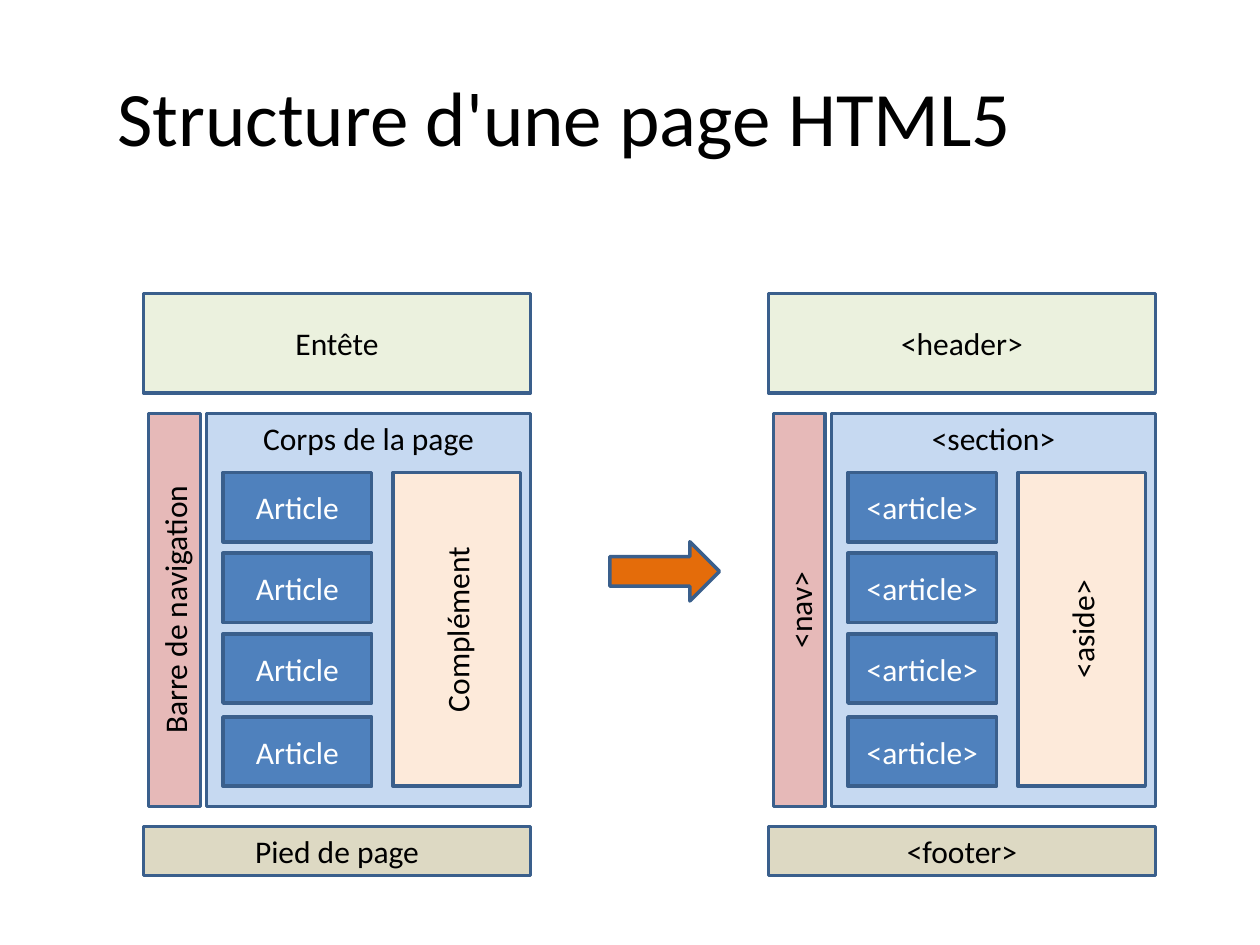
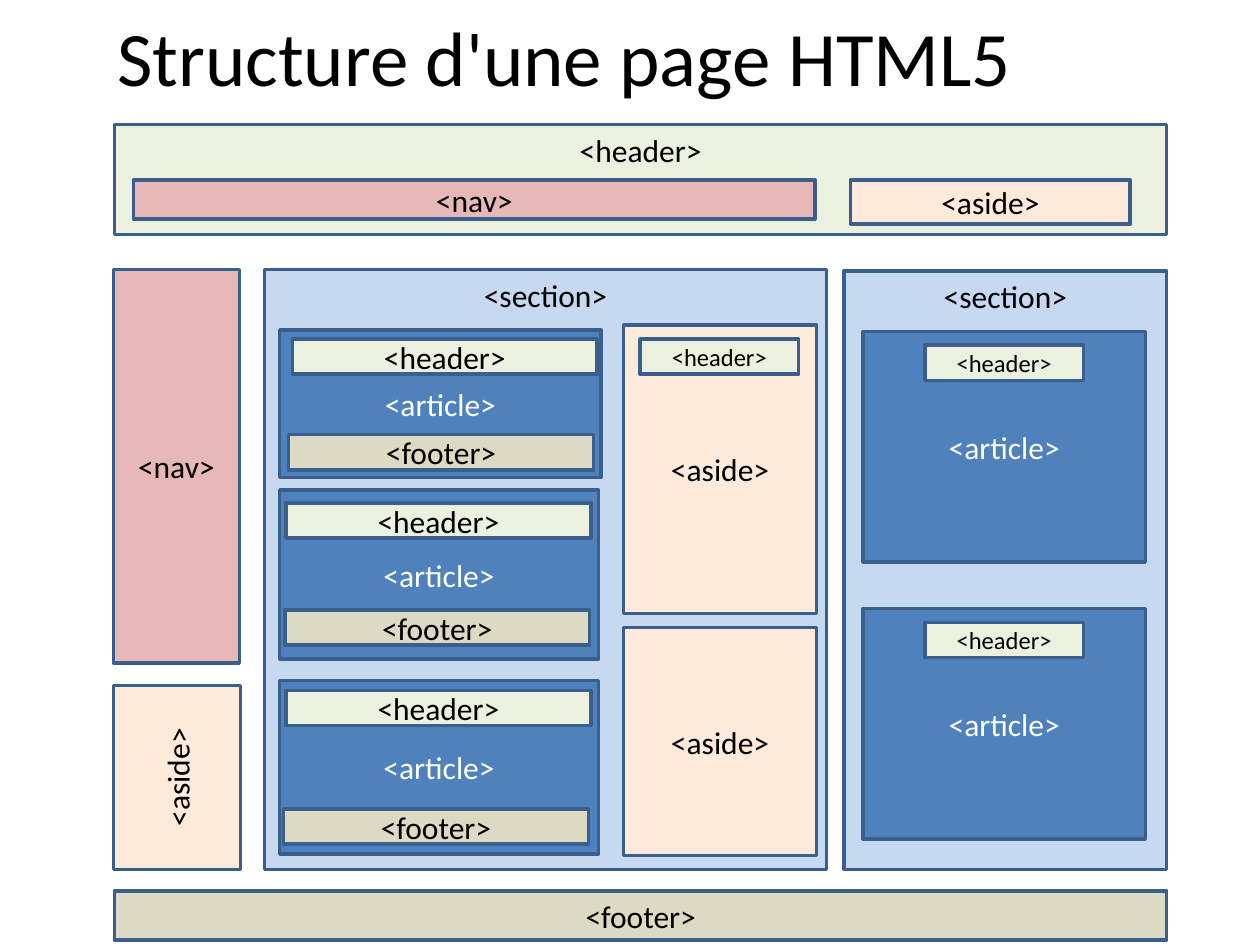
from dataclasses import dataclass, field
from pptx import Presentation
from pptx.dml.color import RGBColor
from pptx.enum.shapes import MSO_SHAPE
from pptx.enum.text import MSO_ANCHOR, PP_ALIGN
from pptx.util import Inches, Pt


@dataclass
class Theme:
    font: str = "Calibri"
    ink: str = "000000"
    white: str = "FFFFFF"
    edge: str = "3A5F8C"
    arrow: str = "E46C0A"
    title: int = 44
    body: int = 18
    small: int = 14
    line: int = 2
    fills: dict = field(default_factory=lambda: {
        "header": "EBF1DE", "nav": "E6B9B8", "section": "C6D9F1",
        "article": "4F81BD", "aside": "FDEADA", "footer": "DDD9C3"})


theme = Theme()

# Content: boxes are (left, top, width, height) in inches
TITLE = "Structure d'une page HTML5"
TITLES = [(0.83, 0.29, 8.83, 1.25), (0.83, 0.05, 8.83, 0.79)]
ROLES = list(theme.fills)
TAGS = {role: f"<{role}>" for role in ROLES}
WORDS = {"header": "Entête", "nav": "Barre de navigation",
         "section": "Corps de la page", "article": "Article",
         "aside": "Complément", "footer": "Pied de page"}

# Simple page: boxes measured from the left edge of the page sketch
PAGES = [(6.1, TAGS), (1.14, WORDS)]
PARTS = [("header", (0, 2.33, 3.07, 0.79), {}),
         ("nav", (0.04, 3.28, 0.41, 3.12), {"turn": True}),
         ("section", (0.5, 3.28, 2.57, 3.12), {"top": True}),
         ("footer", (0, 6.56, 3.07, 0.39), {}),
         ("aside", (1.98, 3.75, 1.01, 2.49), {"turn": True})]
STACK = [3.75, 4.39, 5.03, 5.69]
ARROW = (4.84, 4.3, 0.87, 0.47)

# Detailed page: outer frame, then what each section holds
FRAME = [("header", (0.91, 0.99, 8.35, 0.87), {"top": True}),
         ("nav", (1.06, 1.43, 5.41, 0.31), {}),
         ("aside", (6.75, 1.43, 2.22, 0.35), {}),
         ("nav", (0.9, 2.14, 1, 3.12), {}),
         ("aside", (0.9, 5.44, 1.01, 1.46), {"turn": True}),
         ("section", (2.1, 2.14, 4.46, 4.76), {"top": True}),
         ("section", (6.7, 2.15, 2.56, 4.75), {"top": True}),
         ("footer", (0.91, 7.07, 8.35, 0.39), {}),
         ("aside", (4.95, 2.58, 1.53, 2.29), {}),
         ("aside", (4.95, 4.98, 1.53, 1.81), {})]
# Article box, then left and top of its header and of its footer
POSTS = [((2.22, 2.62, 2.55, 1.17), (2.32, 2.69), (2.29, 3.45)),
         ((2.22, 3.89, 2.53, 1.34), (2.27, 3.99), (2.26, 4.84)),
         ((2.22, 5.4, 2.53, 1.38), (2.27, 5.48), (2.25, 6.42))]
BAND = (2.42, 0.28)
SIDE = [2.63, 4.83]
CHIP = (1.26, 0.28)


def rgb(code):
    return RGBColor.from_string(code)


def put(frame, text, size=theme.body, color=theme.ink,
        align=PP_ALIGN.CENTER, top=False, turn=False):
    """Write one formatted line into a text frame."""
    frame.text = text
    frame.word_wrap = True
    frame.vertical_anchor = MSO_ANCHOR.TOP if top else MSO_ANCHOR.MIDDLE
    if turn:
        frame._txBody.bodyPr.set("vert", "vert270")
    line = frame.paragraphs[0]
    line.alignment = align
    font = line.runs[0].font
    font.name, font.size = theme.font, Pt(size)
    font.color.rgb = rgb(color)


def draw(slide, box, fill, kind=MSO_SHAPE.RECTANGLE):
    shape = slide.shapes.add_shape(kind, *map(Inches, box))
    shape.shadow.inherit = False
    shape.fill.solid()
    shape.fill.fore_color.rgb = rgb(fill)
    shape.line.color.rgb = rgb(theme.edge)
    shape.line.width = Pt(theme.line)
    return shape


def block(slide, role, box, words=TAGS, **style):
    """Draw the box of one page element, in the colour of its role."""
    shape = draw(slide, box, theme.fills[role])
    color = theme.white if role == "article" else theme.ink
    put(shape.text_frame, words[role], color=color, **style)


def start(deck, box):
    slide = deck.slides.add_slide(deck.slide_layouts[5])
    title = slide.shapes.title
    title.left, title.top, title.width, title.height = map(Inches, box)
    put(title.text_frame, TITLE, size=theme.title, align=PP_ALIGN.LEFT)
    return slide


def simple(slide):
    for left, words in PAGES:
        for role, (x, y, w, h), style in PARTS:
            block(slide, role, (left + x, y, w, h), words, **style)
        for y in STACK:
            block(slide, "article", (left + 0.63, y, 1.18, 0.55), words)
    draw(slide, ARROW, theme.arrow, MSO_SHAPE.RIGHT_ARROW)


def detail(slide):
    for role, box, style in FRAME:
        block(slide, role, box, **style)
    # Main section: articles with header and footer
    for box, head, foot in POSTS:
        block(slide, "article", box)
        block(slide, "header", head + BAND)
        block(slide, "footer", foot + BAND)
    # Side section, and the small headers
    for y in SIDE:
        block(slide, "article", (6.85, y, 2.24, 1.83))
    chips = [(5.08, 2.69)] + [(7.34, y + 0.11) for y in SIDE]
    for spot in chips:
        block(slide, "header", spot + CHIP, size=theme.small)


def main():
    deck = Presentation()
    deck.slide_width, deck.slide_height = Inches(10), Inches(7.5)
    for box, fill in zip(TITLES, (simple, detail)):
        fill(start(deck, box))
    deck.save("out.pptx")


if __name__ == "__main__":
    main()
